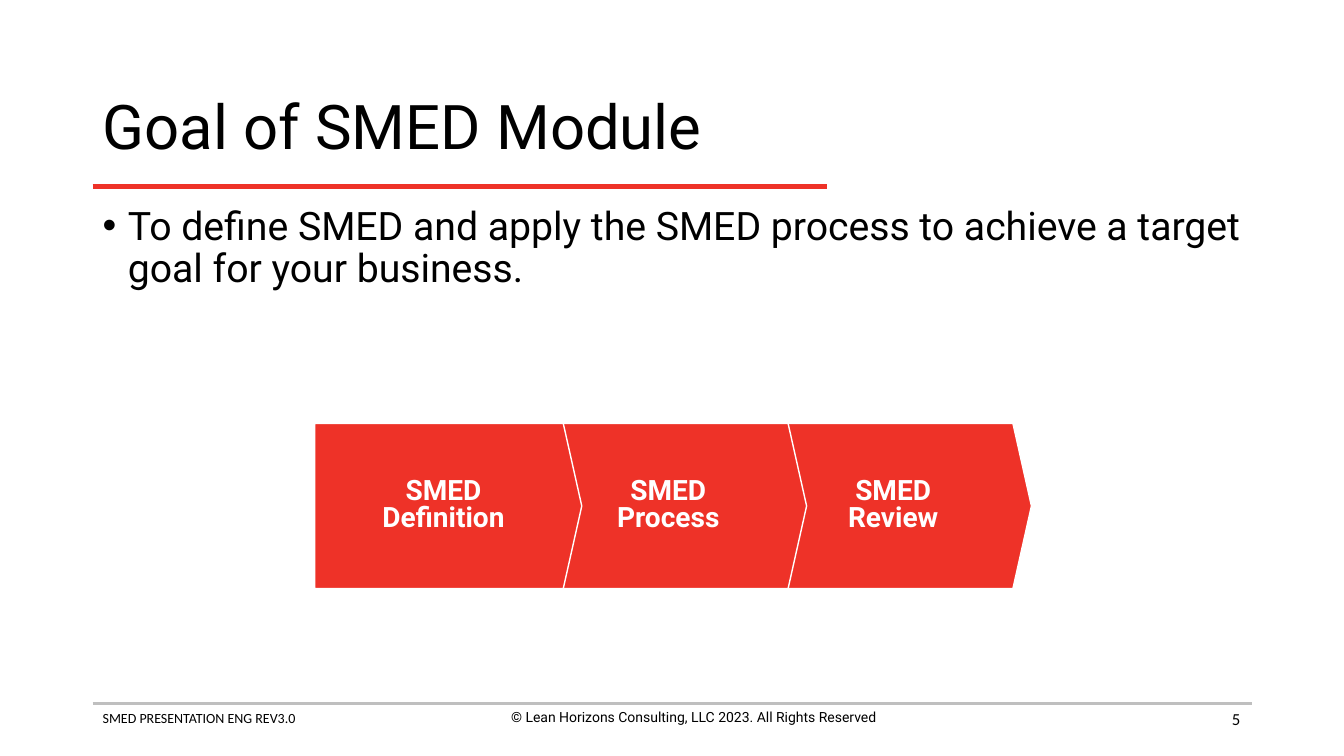
from lxml.etree import SubElement
from pptx import Presentation
from pptx.dml.color import RGBColor
from pptx.enum.shapes import MSO_CONNECTOR as CONN, MSO_SHAPE as SHAPE
from pptx.enum.text import MSO_ANCHOR as ANCHOR, PP_ALIGN as ALIGN
from pptx.oxml.ns import qn
from pptx.util import Pt

PX = 9144
RED = RGBColor(0xEE, 0x32, 0x28)
GREY = RGBColor(0xBF, 0xBF, 0xBF)
BLACK = RGBColor(0, 0, 0)
WHITE = RGBColor(255, 255, 255)


def px(*lengths):
    """Turn lengths in px into EMU."""
    return [n * PX for n in lengths]


def write(sp, text, size, font="Roboto", color=BLACK, bold=False, align=ALIGN.LEFT,
          anchor=ANCHOR.TOP, spacing=1.0, wrap=True, bullet=False):
    """Fill a shape with one formatted paragraph."""
    tf = sp.text_frame
    tf.word_wrap = wrap
    tf.vertical_anchor = anchor
    p = tf.paragraphs[0]
    p.text = text
    p.alignment = align
    p.line_spacing = spacing
    if bullet:
        pPr = p._p.get_or_add_pPr()
        pPr.set("marL", str(25 * PX))
        pPr.set("indent", str(-25 * PX))
        SubElement(pPr, qn("a:buFont")).set("typeface", "Arial")
        SubElement(pPr, qn("a:buChar")).set("char", "•")
    for r in p.runs:
        r.font.name = font
        r.font.size = Pt(size)
        r.font.bold = bold
        r.font.color.rgb = color


def add_text(s, box, text, size, **fmt):
    """Add a text box at the given px box."""
    write(s.shapes.add_textbox(*px(*box)), text, size, **fmt)


def add_rule(s, x, y, w, color, weight):
    """Draw a horizontal rule."""
    line = s.shapes.add_connector(CONN.STRAIGHT, *px(x, y, x + w, y))
    line.line.color.rgb = color
    line.line.width = Pt(weight)
    SubElement(line._element.spPr, qn("a:effectLst"))


def add_heading(s, x, y, w, h):
    """Place the title and its red underline."""
    add_rule(s, x, y + h + 1, 728, RED, 3)
    add_text(s, (x, y, w, h), "Goal of SMED Module", 44, anchor=ANCHOR.MIDDLE, spacing=0.9)


def add_goal(s, x, y, w, h):
    """Place the bulleted goal statement."""
    add_text(s, (x, y, w, h),
             "To define SMED and apply the SMED process to achieve a target goal for your business.",
             28, spacing=0.9, bullet=True)


def add_steps(s, x, y, w, h, names, pitch=223):
    """Place overlapping step arrows, the first one in front."""
    group = s.shapes.add_group_shape()
    step_w = w - pitch * (len(names) - 1)
    for i, name in reversed(list(enumerate(names))):
        sp = group.shapes.add_shape(SHAPE.PENTAGON, *px(x + i * pitch, y, step_w, h))
        sp.adjustments[0] = 0.112
        sp.shadow.inherit = False
        sp.fill.solid()
        sp.fill.fore_color.rgb = RED
        sp.line.color.rgb = WHITE
        sp.line.width = Pt(1)
        write(sp, f"SMED\n{name}", 20, color=WHITE, bold=True, align=ALIGN.CENTER,
              anchor=ANCHOR.MIDDLE, spacing=0.8, wrap=False)


def add_footer(s, x, y, w, h):
    """Place the footer rule, document name, copyright and page number."""
    add_rule(s, x, y, w, GREY, 2)
    add_text(s, (x, y + 1, 456, h), "SMED PRESENTATION ENG REV3.0", 10, font="Calibri")
    add_text(s, (x + 368, y, 456, h),
             "© Lean Horizons Consulting, LLC 2023. All Rights Reserved", 10, align=ALIGN.CENTER)
    add_text(s, (x + w - 302, y - 5, 300, 40), "5", 12, font="Calibri",
             align=ALIGN.RIGHT, anchor=ANCHOR.MIDDLE)


def main():
    """Build and save the slide."""
    prs = Presentation()
    prs.slide_width, prs.slide_height = px(1333, 750)
    s = prs.slides.add_slide(prs.slide_layouts[6])
    add_heading(s, 92, 74, 1150, 110)
    add_goal(s, 92, 200, 1150, 476)
    add_steps(s, 312, 420, 711, 164, ["Definition", "Process", "Review"])
    add_footer(s, 92, 698, 1150, 44)
    prs.save("out.pptx")


if __name__ == "__main__":
    main()
